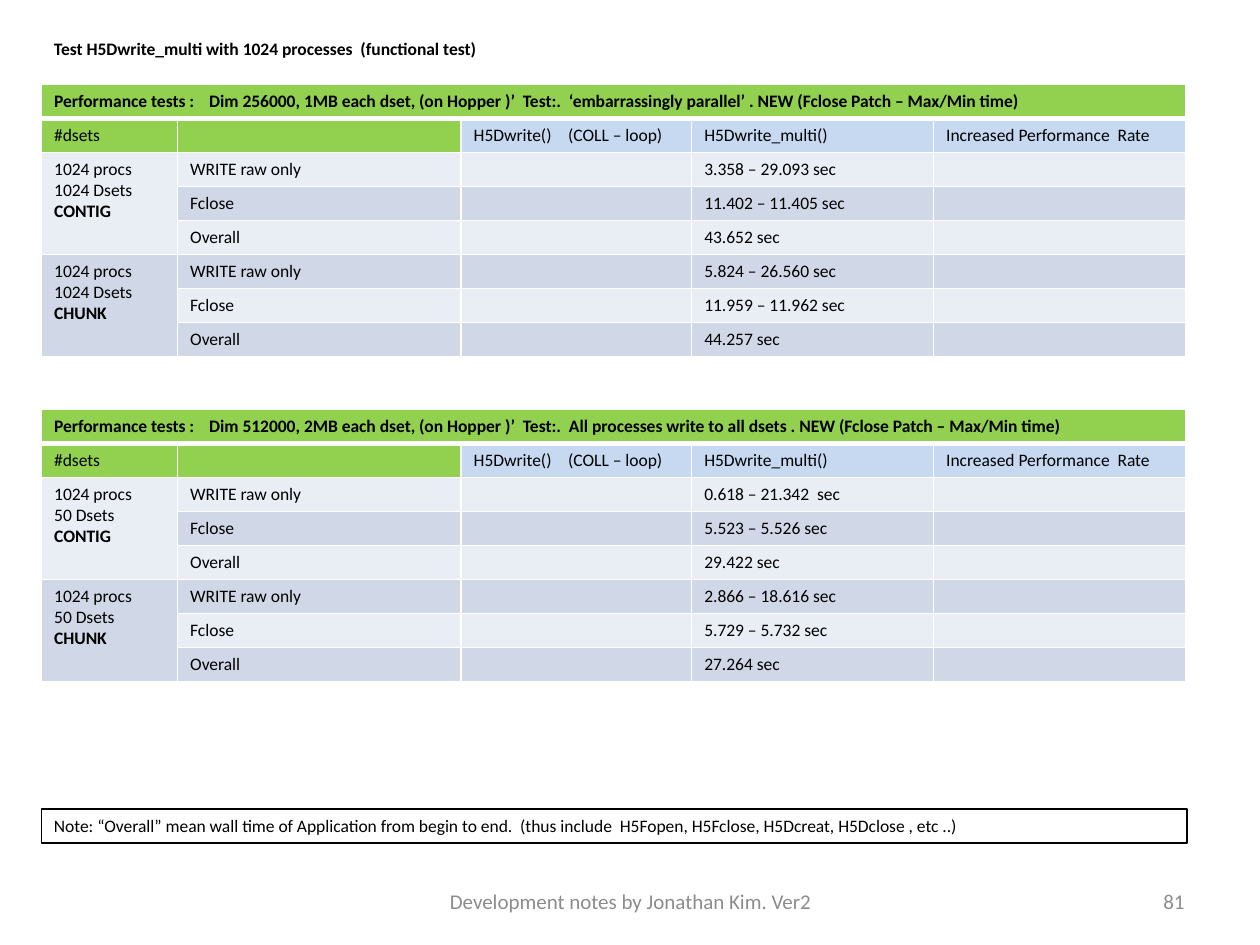
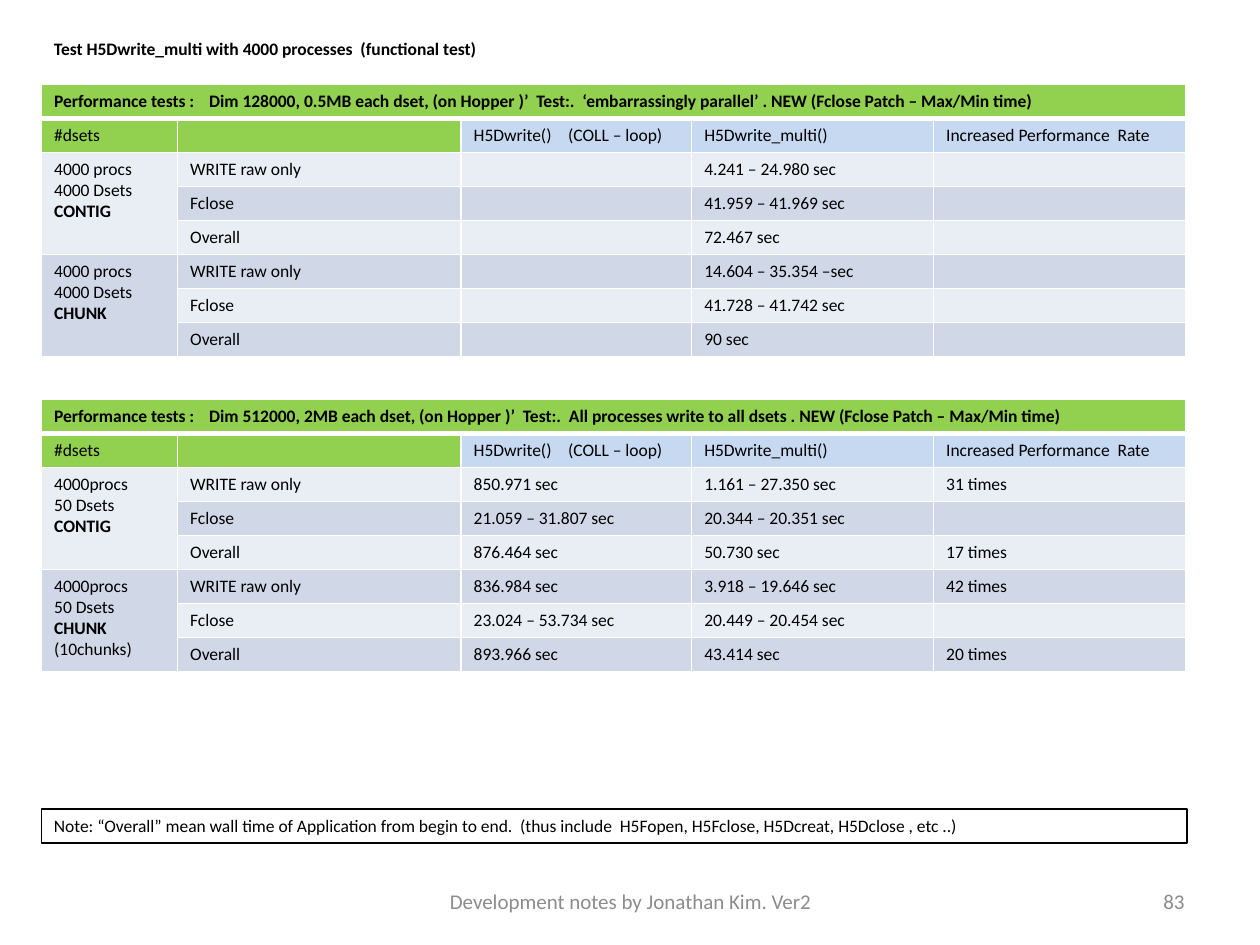
from dataclasses import dataclass

import lxml.etree
import pptx
import pptx.dml.color
import pptx.enum.shapes
import pptx.enum.text
import pptx.oxml.ns
import pptx.util

Inches = pptx.util.Inches
Align = pptx.enum.text.PP_ALIGN
Anchor = pptx.enum.text.MSO_ANCHOR


@dataclass(frozen=True)
class Theme:
    """Colours, font and type sizes shared by the slides."""
    font: str = "Calibri"
    body_size: int = 10
    footer_size: int = 12
    ink: str = "000000"
    footer_ink: str = "8C8C8C"
    green: str = "92D050"
    blue: str = "C6D9F1"
    stripes: tuple = ("E9EDF4", "D0D8E8")
    grid: str = "FFFFFF"
    grid_width: int = 1
    title_rule_width: int = 3


THEME = Theme()
LEFT = 0.33
COLUMN_WIDTHS = (1.08, 2.25, 1.83, 1.92, 2)
ROW_HEIGHT = 0.27
HEADINGS = ("#dsets", "", "H5Dwrite()\t(COLL – loop)", "H5Dwrite_multi()",
            "Increased Performance  Rate")
HEADING_FILLS = (THEME.green,) * 2 + (THEME.blue,) * 3
TITLE_TAB = 1.23
HEADING_TAB = 0.75
STEPS = ("WRITE raw only", "Fclose", "Overall")
LAYOUTS = ("CONTIG", "CHUNK")
PARALLEL = "‘embarrassingly parallel’"
ALL_TO_ALL = "All processes write to all dsets"
NOTE = ("Note: “Overall” mean wall time of Application from begin to end.  "
        "(thus include  H5Fopen, H5Fclose, H5Dcreat, H5Dclose , etc ..)")
FOOTER = "Development notes by Jonathan Kim. Ver2"

SLIDES = (
    {
        "processes": 1024,
        "page": 81,
        "tables": (
            (0.67, "256000, 1MB", PARALLEL,
             ("1024 procs\n1024 Dsets\nCONTIG", "1024 procs\n1024 Dsets\nCHUNK"),
             (("", "3.358 – 29.093 sec", ""),
              ("", "11.402 – 11.405 sec", ""),
              ("", "43.652 sec", ""),
              ("", "5.824 – 26.560 sec", ""),
              ("", "11.959 – 11.962 sec", ""),
              ("", "44.257 sec", ""))),
            (3.25, "512000, 2MB", ALL_TO_ALL,
             ("1024 procs\n50 Dsets\nCONTIG", "1024 procs\n50 Dsets\nCHUNK"),
             (("", "0.618 – 21.342  sec", ""),
              ("", "5.523 – 5.526 sec", ""),
              ("", "29.422 sec", ""),
              ("", "2.866 – 18.616 sec", ""),
              ("", "5.729 – 5.732 sec", ""),
              ("", "27.264 sec", ""))),
        ),
    },
    {
        "processes": 4000,
        "page": 83,
        "tables": (
            (0.67, "128000, 0.5MB", PARALLEL,
             ("4000 procs\n4000 Dsets\nCONTIG", "4000 procs\n4000 Dsets\nCHUNK"),
             (("", "4.241 – 24.980 sec", ""),
              ("", "41.959 – 41.969 sec", ""),
              ("", "72.467 sec", ""),
              ("", "14.604 – 35.354 –sec", ""),
              ("", "41.728 – 41.742 sec", ""),
              ("", "90 sec", ""))),
            (3.17, "512000, 2MB", ALL_TO_ALL,
             ("4000procs\n50 Dsets\nCONTIG", "4000procs\n50 Dsets\nCHUNK\n(10chunks)"),
             (("850.971 sec", "1.161 – 27.350 sec", "31 times"),
              ("21.059 – 31.807 sec", "20.344 – 20.351 sec", ""),
              ("876.464 sec", "50.730 sec", "17 times"),
              ("836.984 sec", "3.918 – 19.646 sec", "42 times"),
              ("23.024 – 53.734 sec", "20.449 – 20.454 sec", ""),
              ("893.966 sec", "43.414 sec", "20 times"))),
        ),
    },
)


def rgb(value):
    """Turn a hex string into a colour."""
    return pptx.dml.color.RGBColor.from_string(value)


def add_element(parent, tag, **attributes):
    """Append a drawing element with the given attributes."""
    return lxml.etree.SubElement(parent, pptx.oxml.ns.qn(tag), **attributes)


def write_text(text_frame, text, size=THEME.body_size, color=THEME.ink,
               bold=False, align=Align.LEFT):
    """Fill a text frame; the storage layout names are always bold."""
    text_frame.text = text
    for paragraph in text_frame.paragraphs:
        paragraph.alignment = align
        for run in paragraph.runs:
            run.font.name = THEME.font
            run.font.size = pptx.util.Pt(size)
            run.font.bold = bold or run.text in LAYOUTS
            run.font.color.rgb = rgb(color)
        if not paragraph.runs:
            add_element(paragraph._p, "a:endParaRPr", sz=str(size * 100))


def set_tab(paragraph, position):
    """Put one left tab stop in a paragraph."""
    tabs = add_element(paragraph._p.get_or_add_pPr(), "a:tabLst")
    add_element(tabs, "a:tab", pos=str(Inches(position)), algn="l")


def set_borders(cell, top, bottom):
    """Draw the four grid lines of a cell, with widths in points."""
    properties = cell._tc.get_or_add_tcPr()
    widths = {"L": THEME.grid_width, "R": THEME.grid_width, "T": top, "B": bottom}
    for side, width in widths.items():
        line = add_element(properties, f"a:ln{side}", w=str(pptx.util.Pt(width)))
        add_element(add_element(line, "a:solidFill"), "a:srgbClr", val=THEME.grid)


def style_cell(cell, row, column):
    """Give a cell its grid lines and the fill that its row calls for."""
    thin, thick = THEME.grid_width, THEME.title_rule_width
    set_borders(cell, thick if row == 1 else thin, thick if row == 0 else thin)
    if row == 0:
        fill = THEME.green
    elif row == 1:
        fill = HEADING_FILLS[column]
    else:
        fill = THEME.stripes[row % 2]
    cell.fill.solid()
    cell.fill.fore_color.rgb = rgb(fill)


def add_results_table(slide, top, dimensions, test, groups, timings):
    """Add one table of timings for contiguous and chunked data sets."""
    title = (f"Performance tests :\tDim {dimensions} each dset, (on Hopper )’  "
             f"Test:.  {test} . NEW (Fclose Patch – Max/Min time)")
    rows = [(title, "", "", "", ""), HEADINGS]
    for index, timing in enumerate(timings):
        group, step = divmod(index, len(STEPS))
        rows.append((groups[group] if step == 0 else "", STEPS[step], *timing))

    table = slide.shapes.add_table(
        len(rows), len(COLUMN_WIDTHS), Inches(LEFT), Inches(top),
        Inches(sum(COLUMN_WIDTHS)), Inches(ROW_HEIGHT * len(rows))).table
    table.first_row = table.horz_banding = False
    for column, width in zip(table.columns, COLUMN_WIDTHS):
        column.width = Inches(width)
    for row_index, texts in enumerate(rows):
        table.rows[row_index].height = Inches(ROW_HEIGHT)
        for column_index, text in enumerate(texts):
            cell = table.cell(row_index, column_index)
            style_cell(cell, row_index, column_index)
            write_text(cell.text_frame, text, bold=row_index == 0)

    set_tab(table.cell(0, 0).text_frame.paragraphs[0], TITLE_TAB)
    set_tab(table.cell(1, 2).text_frame.paragraphs[0], HEADING_TAB)
    table.cell(0, 0).merge(table.cell(0, len(COLUMN_WIDTHS) - 1))
    for first in range(2, len(rows), len(STEPS)):
        table.cell(first, 0).merge(table.cell(first + len(STEPS) - 1, 0))


def add_label(slide, text, left, top, width, height, anchor=Anchor.TOP, **style):
    """Add a wrapping text box."""
    box = slide.shapes.add_textbox(*map(Inches, (left, top, width, height)))
    box.text_frame.word_wrap = True
    box.text_frame.vertical_anchor = anchor
    write_text(box.text_frame, text, **style)


def add_note(slide):
    """Add the outlined note below the tables."""
    shape = slide.shapes.add_shape(
        pptx.enum.shapes.MSO_SHAPE.RECTANGLE,
        *map(Inches, (LEFT, 6.42, 9.09, 0.27)))
    shape.shadow.inherit = False
    shape.fill.background()
    shape.line.color.rgb = rgb(THEME.ink)
    shape.line.width = pptx.util.Pt(0.75)
    shape.text_frame.word_wrap = True
    shape.text_frame.vertical_anchor = Anchor.TOP
    write_text(shape.text_frame, NOTE)


def add_footer(slide, page):
    """Add the footer line and the page number."""
    style = {"anchor": Anchor.MIDDLE, "size": THEME.footer_size,
             "color": THEME.footer_ink}
    add_label(slide, FOOTER, 3.42, 6.95, 3.17, 0.4, align=Align.CENTER, **style)
    add_label(slide, str(page), 7.17, 6.95, 2.33, 0.4, align=Align.RIGHT, **style)


def main():
    """Build and save the presentation."""
    presentation = pptx.Presentation()
    presentation.slide_width = Inches(10)
    presentation.slide_height = Inches(7.5)
    for content in SLIDES:
        slide = presentation.slides.add_slide(presentation.slide_layouts[6])
        heading = (f"Test H5Dwrite_multi with {content['processes']} processes  "
                   "(functional test)")
        add_label(slide, heading, LEFT, 0.25, 3.67, 0.27, bold=True)
        for table in content["tables"]:
            add_results_table(slide, *table)
        add_note(slide)
        add_footer(slide, content["page"])
    presentation.save("out.pptx")


if __name__ == "__main__":
    main()
